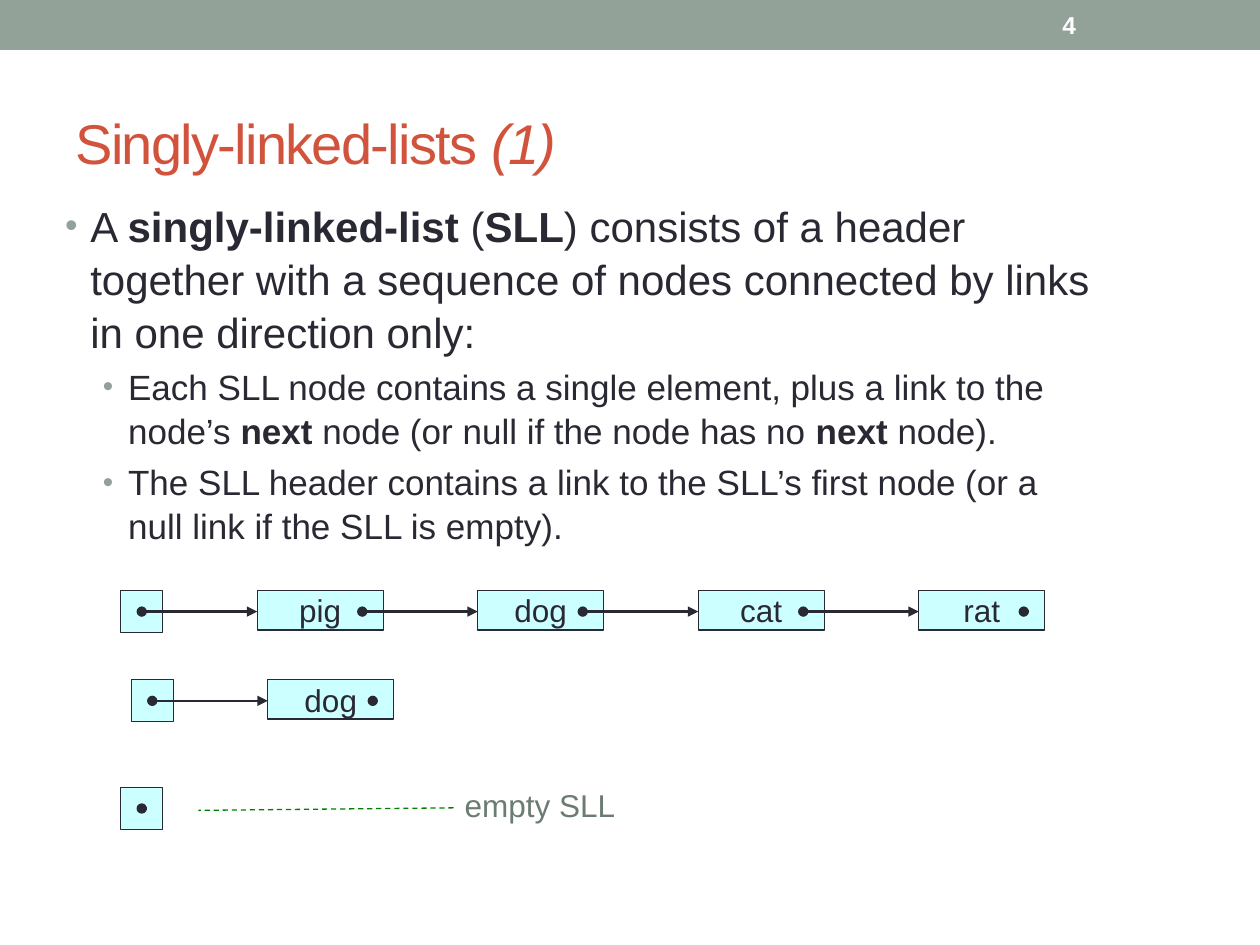
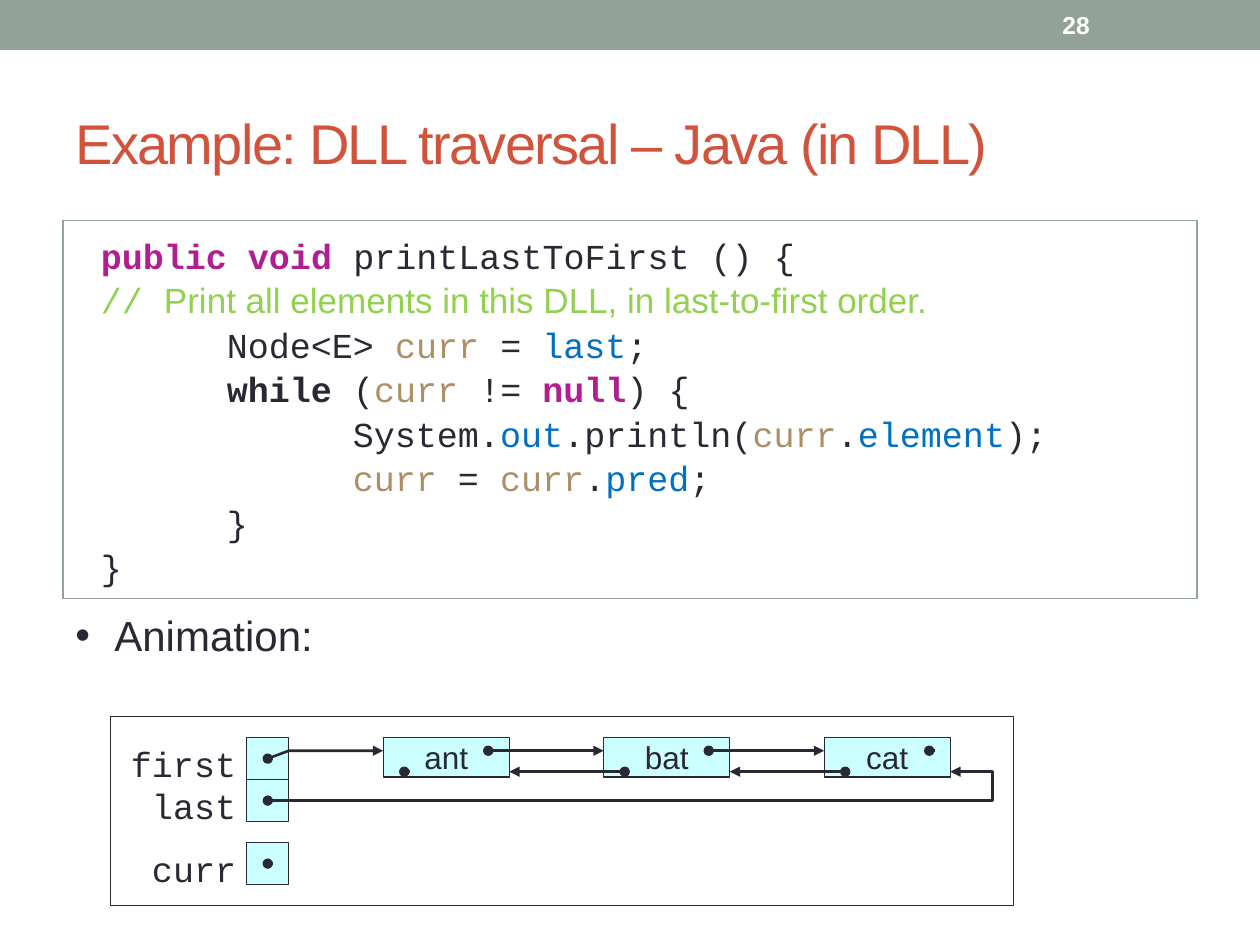
from lxml.etree import SubElement as Sub
from pptx import Presentation
from pptx.dml.color import RGBColor as RGB
from pptx.enum.dml import MSO_LINE as Dash
from pptx.enum.shapes import MSO_CONNECTOR as Conn, MSO_SHAPE as Shape
from pptx.enum.text import MSO_ANCHOR as Anchor, MSO_AUTO_SIZE as Fit, PP_ALIGN as Align
from pptx.oxml.ns import qn
from pptx.util import Inches, Pt

HUES = {
    "band": "93A299", "title": "D2533C", "ink": "292934", "cell": "CCFFFF",
    "white": "FFFFFF", "note": "6B7D72", "lead": "008000",
    "key": "B21E92", "gloss": "92D050", "var": "AD8F67", "field": "0070C0",
}
SANS, MONO = "Arial", "Courier New"

# Grid of 120 columns by 90 rows; every length below counts grid units
WIDE, HIGH = Inches(10), Inches(7.5)
COLS, ROWS = 120, 90
UNIT = WIDE / COLS

# Sizes shared by the linked-list drawings
SIDE = 4               # header cell
NODE_W, NODE_H = 12, 3.75
PITCH = 21             # from node to node
LEAD = 13              # from header cell to first node
NEXT, PRED = 10, 2     # dots inside a node


def grid(*units):
    return [round(u * UNIT) for u in units]


def hue(name):
    return RGB.from_string(HUES[name])


# ---- Text ----
def add_run(para, text, size, color="ink", face=SANS, bold=False, slant=False):
    run = para.add_run()
    run.text = text
    font = run.font
    font.size, font.name, font.bold, font.italic = Pt(size), face, bold, slant
    font.color.rgb = hue(color)
    return run


def set_frame(frame, inset=None, anchor=Anchor.TOP):
    frame.word_wrap = True
    frame.auto_size = Fit.NONE
    frame.vertical_anchor = anchor
    if inset is not None:
        frame.margin_left = frame.margin_right = inset
        frame.margin_top = frame.margin_bottom = inset
    return frame


def indent(para, left, hang):
    props = para._p.get_or_add_pPr()
    props.set("marL", str(Inches(left)))
    props.set("indent", str(-Inches(hang)))
    return props


def bullet(para, left, hang, color="ink", share=100):
    props = indent(para, left, hang)
    Sub(Sub(props, qn("a:buClr")), qn("a:srgbClr"), val=HUES[color])
    Sub(props, qn("a:buSzPct"), val=str(share * 1000))
    Sub(props, qn("a:buFont"), typeface=SANS)
    Sub(props, qn("a:buChar"), char="•")


def add_paras(frame, items):
    """Yield one paragraph for each item, using the first empty one."""
    for i, item in enumerate(items):
        yield (frame.add_paragraph() if i else frame.paragraphs[0]), item


def place(shape, box):
    shape.left, shape.top, shape.width, shape.height = grid(*box)
    return shape


def text_box(slide, box, inset=None, anchor=Anchor.TOP):
    item = slide.shapes.add_textbox(*grid(*box))
    return set_frame(item.text_frame, inset, anchor).paragraphs[0]


# ---- Shapes and lines ----
def add_box(slide, box, fill="cell", edge="ink", kind=Shape.RECTANGLE):
    shape = slide.shapes.add_shape(kind, *grid(*box))
    shape.shadow.inherit = False
    if fill:
        shape.fill.solid()
        shape.fill.fore_color.rgb = hue(fill)
    else:
        shape.fill.background()
    if edge:
        shape.line.color.rgb = hue(edge)
        shape.line.width = Pt(0.75)
    else:
        shape.line.fill.background()
    return shape


def style_link(shape, arrow=True):
    shape.line.color.rgb = hue("ink")
    shape.line.width = Pt(1.5)
    line = shape.line._get_or_add_ln()
    Sub(line, qn("a:headEnd"), type="oval")
    if arrow:
        Sub(line, qn("a:tailEnd"), type="triangle")


def link(slide, x, y, end, arrow=True):
    line = slide.shapes.add_connector(Conn.STRAIGHT, *grid(x, y, end, y))
    style_link(line, arrow)
    Sub(line._element.spPr, qn("a:effectLst"))


def dot(slide, x, y):
    link(slide, x, y, x + 0.5, arrow=False)


def bent_link(slide, *points):
    first, *rest = [grid(*p) for p in points]
    build = slide.shapes.build_freeform(*first)
    build.add_line_segments(rest, close=False)
    shape = build.convert_to_shape()
    shape.shadow.inherit = False
    shape.fill.background()
    style_link(shape)


def cell(slide, x, y):
    add_box(slide, (x, y, SIDE, SIDE))


def node(slide, x, y, word):
    shape = add_box(slide, (x, y, NODE_W, NODE_H))
    para = set_frame(shape.text_frame, 0, Anchor.MIDDLE).paragraphs[0]
    para.alignment = Align.CENTER
    add_run(para, word, 18)


# ---- Parts of every slide ----
def base(deck, number, *title):
    slide = deck.slides.add_slide(deck.slide_layouts[1])
    add_box(slide, (0, 0, COLS, 4.75), "band", None)
    para = text_box(slide, (100, 0.25, 14, 4.25), anchor=Anchor.MIDDLE)
    add_run(para, number, 14, "white", bold=True)

    head = place(slide.shapes.title, (6, 7, 108, 13))
    para = set_frame(head.text_frame, anchor=Anchor.MIDDLE).paragraphs[0]
    para.alignment = Align.LEFT
    for text, slant in title:
        run = add_run(para, text, 32, "title", slant=slant)
        run._r.get_or_add_rPr().set("spc", "-100")
    return slide


# ---- Singly-linked lists ----
POINTS = [
    (0, [("A ", 0), ("singly-linked-list", 1), (" (", 0), ("SLL", 1),
         (") consists of a header together with a sequence of nodes "
          "connected by links in one direction only:", 0)]),
    (1, [("Each SLL node contains a single element, plus a link to the node’s ", 0),
         ("next", 1), (" node (or null if the node has no ", 0),
         ("next ", 1), ("node).", 0)]),
    (1, [("The SLL header contains a link to the SLL’s first node "
          "(or a null link if the SLL is empty).", 0)]),
]


def list_body(slide, box):
    frame = set_frame(place(slide.placeholders[1], box).text_frame)
    frame.margin_top = Inches(0.07)
    for para, (level, parts) in add_paras(frame, POINTS):
        para.level = level
        bullet(para, 0.2 + 0.3 * level, 0.2, "band", 85)
        para.space_before = Pt(4 * level)
        para.line_spacing = 1.05
        for text, bold in parts:
            add_run(para, text, 24 - 4 * level, bold=bool(bold))


def chain(slide, x, y, words):
    """A header cell followed by its nodes, joined by next links."""
    cell(slide, x, y)
    start, mid = x + SIDE / 2, y + SIDE / 2
    for i, word in enumerate(words):
        left = x + LEAD + i * PITCH
        node(slide, left, y, word)
        link(slide, start, mid, left)
        start = left + NEXT
    dot(slide, start, mid)


def empty_note(slide, box):
    note = add_box(slide, box, None, "lead", Shape.LINE_CALLOUT_1_NO_BORDER)
    note.line.dash_style = Dash.DASH
    for i, value in enumerate((0.48, -0.07, 0.56, -1.69)):
        note.adjustments[i] = value
    para = set_frame(note.text_frame, 0, Anchor.MIDDLE).paragraphs[0]
    para.alignment = Align.LEFT
    para.line_spacing = Pt(18)
    add_run(para, "empty SLL", 18, "note")


def single_slide(deck):
    slide = base(deck, "4", ("Singly-linked-lists ", False), ("(1)", True))
    list_body(slide, (5, 18, 100, 63))
    chain(slide, 11.5, 56.25, ["pig", "dog", "cat", "rat"])
    chain(slide, 12.5, 64.75, ["dog"])
    chain(slide, 11.5, 75, [])
    empty_note(slide, (44.25, 75.5, 15, 3))


# ---- Doubly-linked list traversal ----
# Each code line: depth, then runs of text and colour
CODE = [
    (0, [("public void ", "key"), ("printLastToFirst () {", "ink")]),
    (0, [("// ", "gloss"),
         ("Print all elements in this DLL, in last-to-first order.", "gloss", SANS)]),
    (1, [("Node<E> ", "ink"), ("curr ", "var"), ("= ", "ink"),
         ("last", "field"), (";", "ink")]),
    (1, [("while", "ink", MONO, True), (" (", "ink"), ("curr", "var"),
         (" != ", "ink"), ("null", "key"), (") {", "ink")]),
    (2, [("System.", "ink"), ("out", "field"), (".println(", "ink"),
         ("curr", "var"), (".", "ink"), ("element", "field"), (");", "ink")]),
    (2, [("curr", "var"), (" = ", "ink"), ("curr", "var"), (".", "ink"),
         ("pred", "field"), (";", "ink")]),
    (1, [("}", "ink")]),
    (0, [("}", "ink")]),
]


def code_body(slide, box):
    body = place(slide.placeholders[1], box)
    body.line.color.rgb = hue("band")
    body.line.width = Pt(0.75)
    frame = set_frame(body.text_frame)
    frame.margin_top = Inches(0.09)
    for para, (depth, parts) in add_paras(frame, CODE):
        Sub(indent(para, 0.2 + depth, 0), qn("a:buNone"))
        para.space_before = Pt(0)
        para.line_spacing = 1.06
        for text, color, *rest in parts:
            face, bold = rest + [MONO, color == "key"][len(rest):]
            add_run(para, text, 20, color, face, bold)


def trace(slide, box):
    """Framed drawing of a list with its first, last and curr cells."""
    x, y, wide, high = box
    add_box(slide, box, "white")
    left, top = x + LEAD, y + 2
    mid = left + SIDE / 2

    # Named cells
    for word, row in (("first", 0), ("last", SIDE), ("curr", 10)):
        cell(slide, left, top + row)
        para = text_box(slide, (x + 1, top + row + 0.5, 11, SIDE), 0, Anchor.MIDDLE)
        para.alignment = Align.RIGHT
        add_run(para, word, 20, face=MONO)
    dot(slide, mid, top + 10 + SIDE / 2)

    # Nodes, then their links in both directions
    words = ["ant", "bat", "cat"]
    spots = [left + LEAD + i * PITCH for i in range(len(words))]
    ahead, back = top + 1.25, top + 3.25
    for spot, word in zip(spots, words):
        node(slide, spot, top, word)
    for here, there in zip(spots, spots[1:]):
        link(slide, here + NEXT, ahead, there)
        link(slide, there + PRED, back, here + NODE_W)
    dot(slide, spots[-1] + NEXT, ahead)
    dot(slide, spots[0] + PRED, back)

    # Links from the header cells
    bent_link(slide, (mid, top + 2), (left + SIDE, ahead), (spots[0], ahead))
    low, edge = top + SIDE + 2, x + wide - 2
    bent_link(slide, (mid, low), (edge, low), (edge, back),
              (spots[-1] + NODE_W, back))


def double_slide(deck):
    slide = base(deck, "28", ("Example: DLL traversal – Java (in DLL)", False))
    code_body(slide, (6, 21, 108, 36))
    para = text_box(slide, (6, 57.5, 90.5, 6))
    bullet(para, 0.31, 0.31)
    add_run(para, "Animation:", 24)
    trace(slide, (10.5, 68.25, 86, 18))


def main():
    deck = Presentation()
    deck.slide_width, deck.slide_height = WIDE, HIGH
    single_slide(deck)
    double_slide(deck)
    deck.save("out.pptx")


if __name__ == "__main__":
    main()
